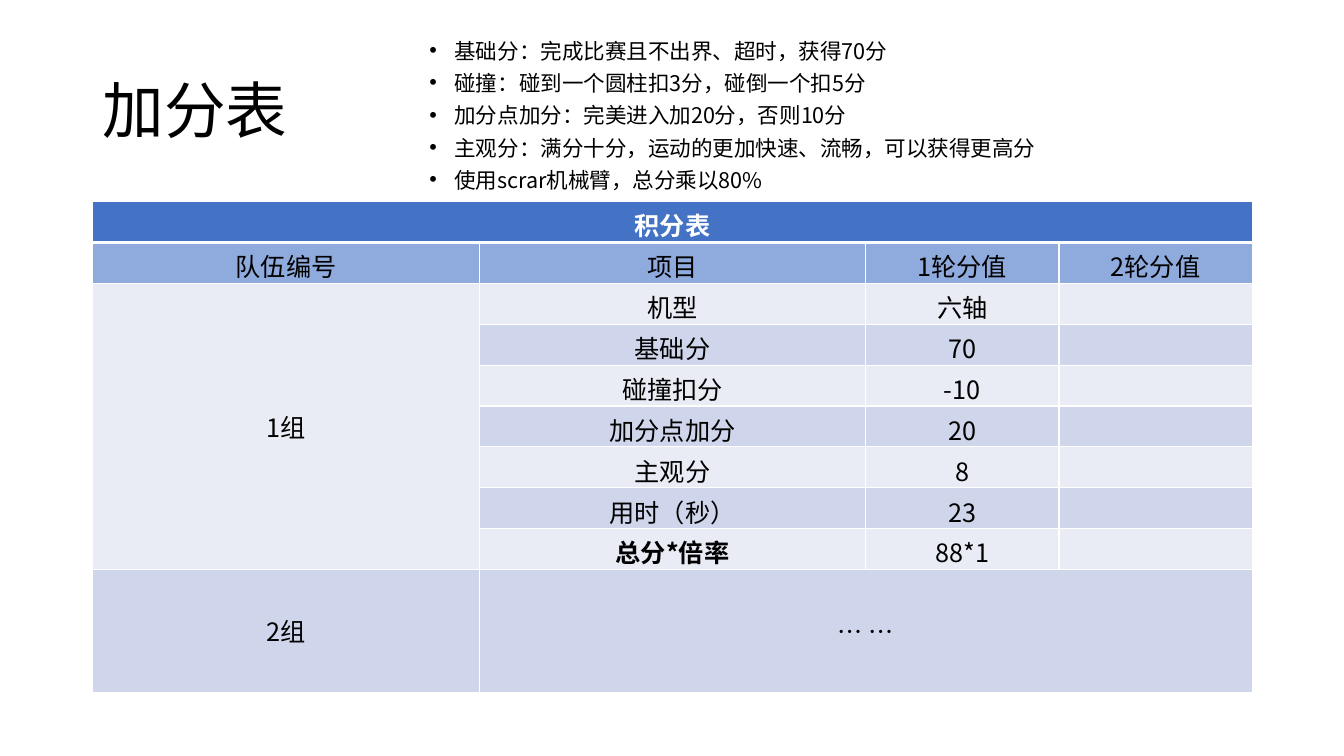
from pptx import Presentation
from pptx.dml.color import RGBColor
from pptx.enum.text import MSO_ANCHOR as Anchor, PP_ALIGN as Align
from pptx.oxml.ns import qn
from pptx.util import Inches, Pt
from lxml.etree import SubElement, Element

FONT = "Noto Sans CJK SC"
BLACK, WHITE = "000000", "FFFFFF"
HEADER, SUBHEADER = "4472C4", "8FAADC"
BANDS = ["E9EBF5", "CFD5EA"]
COLUMN_SHARES = [2, 2, 1, 1]
ROW_SHARES = [1] * 9 + [3]
MERGES = [(0, 0, 0, 3), (2, 0, 8, 0), (9, 1, 9, 3)]

RULES = [
    "基础分：完成比赛且不出界、超时，获得70分",
    "碰撞：碰到一个圆柱扣3分，碰倒一个扣5分",
    "加分点加分：完美进入加20分，否则10分",
    "主观分：满分十分，运动的更加快速、流畅，可以获得更高分",
    "使用scrar机械臂，总分乘以80%",
]
SCORES = [
    ["积分表", "", "", ""],
    ["队伍编号", "项目", "1轮分值", "2轮分值"],
    ["1组", "机型", "六轴", ""],
    ["", "基础分", "70", ""],
    ["", "碰撞扣分", "-10", ""],
    ["", "加分点加分", "20", ""],
    ["", "主观分", "8", ""],
    ["", "用时（秒）", "23", ""],
    ["", "总分*倍率", "88*1", ""],
    ["2组", "… …", "", ""],
]
BOLD = {"积分表", "总分*倍率"}


def color(value):
    return RGBColor.from_string(value)


def write(para, text, size=18, fill=BLACK, bold=False, align=None,
          line=None, before=None, bullet=False):
    para.alignment = align
    if line:
        para.line_spacing = line
    if before is not None:
        para.space_before = Pt(before)
    if bullet:
        props = para._p.get_or_add_pPr()
        props.set("marL", str(Inches(0.25)))
        props.set("indent", str(Inches(-0.25)))
        SubElement(props, qn("a:buFont"), typeface="Arial")
        SubElement(props, qn("a:buChar"), char="•")
    span = para.add_run()
    span.text = text
    span.font.size = Pt(size)
    span.font.bold = bold
    span.font.name = FONT
    span.font.color.rgb = color(fill)
    SubElement(span._r.get_or_add_rPr(), qn("a:ea"), typeface=FONT)


def add_text(page, box, lines, anchor, **style):
    frame = page.shapes.add_textbox(*map(Inches, box)).text_frame
    frame.word_wrap = True
    frame.vertical_anchor = anchor
    for index, text in enumerate(lines):
        para = frame.add_paragraph() if index else frame.paragraphs[0]
        write(para, text, **style)


def set_borders(cell, widths):
    props = cell._tc.get_or_add_tcPr()
    for index, (side, width) in enumerate(zip("LRTB", widths)):
        border = Element(qn(f"a:ln{side}"), w=str(Pt(width)))
        paint = SubElement(border, qn("a:solidFill"))
        SubElement(paint, qn("a:srgbClr"), val=WHITE)
        props.insert(index, border)


def add_scores(page, box):
    left, top, width, height = map(Inches, box)
    table = page.shapes.add_table(len(SCORES), len(COLUMN_SHARES),
                                  left, top, width, height).table
    table.first_row = table.horz_banding = False
    for column, share in zip(table.columns, COLUMN_SHARES):
        column.width = width * share // sum(COLUMN_SHARES)
    for row, share in zip(table.rows, ROW_SHARES):
        row.height = height * share // sum(ROW_SHARES)
    fills = [HEADER, SUBHEADER] + BANDS * 4
    for row, texts in enumerate(SCORES):
        for column, text in enumerate(texts):
            cell = table.cell(row, column)
            cell.fill.solid()
            cell.fill.fore_color.rgb = color(fills[row])
            set_borders(cell, [1, 1, 3 if row == 1 else 1, 3 if row == 0 else 1])
            if text:
                write(cell.text_frame.paragraphs[0], text, align=Align.CENTER,
                      bold=text in BOLD, fill=BLACK if row else WHITE)
    for first_row, first_column, last_row, last_column in MERGES:
        table.cell(first_row, first_column).merge(table.cell(last_row, last_column))
    for row, column in [(2, 0), (9, 0), (9, 1)]:
        table.cell(row, column).vertical_anchor = Anchor.MIDDLE
    for row in range(3, 9):
        table.cell(row, 0).fill.fore_color.rgb = color(BANDS[0])


def main():
    deck = Presentation()
    deck.slide_width, deck.slide_height = Inches(13.33), Inches(7.5)
    page = deck.slides.add_slide(deck.slide_layouts[6])
    add_text(page, (0.92, 0.4, 11.5, 1.45), ["加分表"], Anchor.MIDDLE,
             size=44, line=0.9)
    add_scores(page, (0.92, 2, 11.5, 4.87))
    add_text(page, (4.16, 0.4, 8.63, 1.65), RULES, Anchor.TOP,
             size=15.4, line=0.7, before=10, bullet=True)
    deck.save("out.pptx")


if __name__ == "__main__":
    main()
